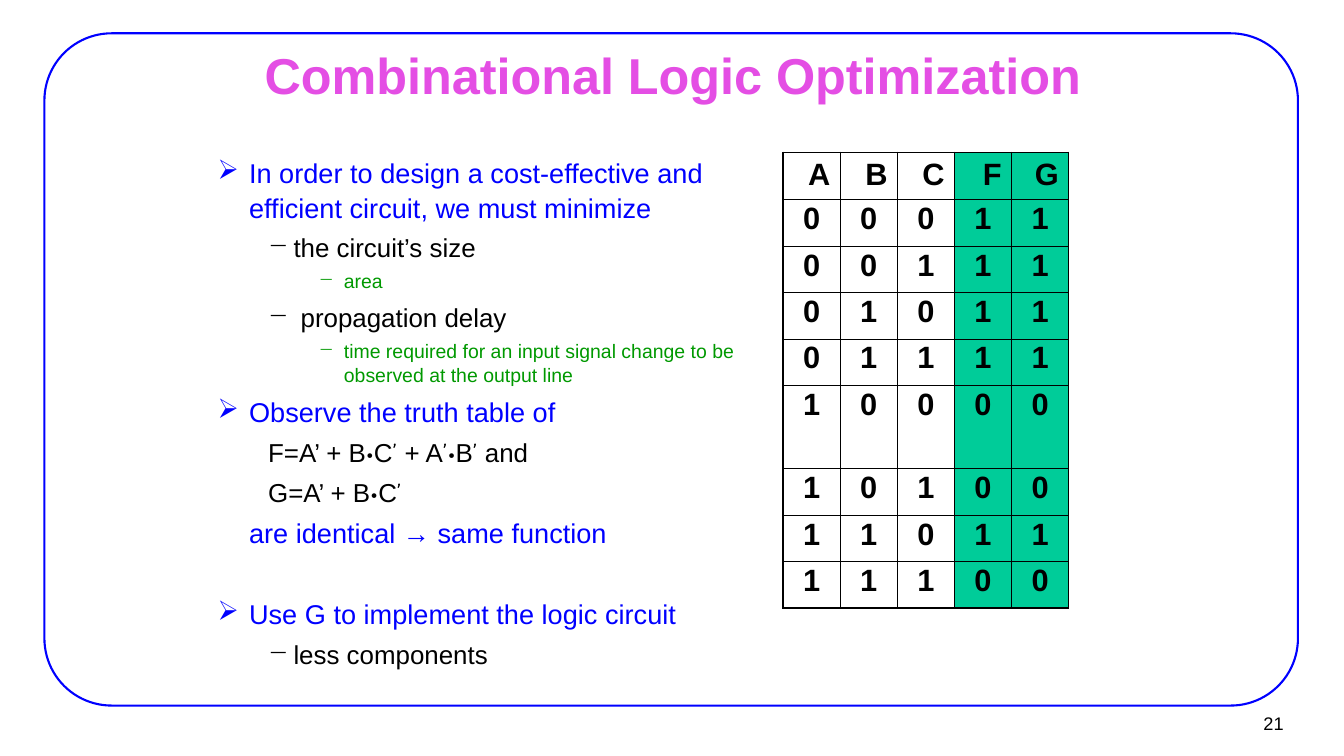
import itertools

import lxml.etree
import pptx
import pptx.dml.color
import pptx.enum.shapes
import pptx.enum.text
import pptx.oxml.ns
import pptx.util

Cm, Pt = pptx.util.Cm, pptx.util.Pt
ALIGN = pptx.enum.text.PP_ALIGN
ANCHOR = pptx.enum.text.MSO_ANCHOR

BLUE, BLACK, GREEN, PINK = "0000FF", "000000", "009900", "E44EE4"
WHITE, OUTPUT_FILL = "FFFFFF", "00CC99"

# Level: left indent and hanging in cm, space before, font size, colour, bullet
LEVELS = {
    1: (2.06, 0.79, 5.2, 19.4, BLUE, "➢"),
    2: (3.18, 0.64, 5, 18.5, BLACK, "−"),
    3: (4.45, 0.64, 3.7, 13.9, GREEN, "−"),
    "formula": (2.54, 0, 5, 18.5, BLACK, None),
    "continued": (2.06, 0, 5.2, 19.4, BLUE, None),
    "after gap": (2.06, 0.79, 33.8, 19.4, BLUE, "➢"),
}

# Level, then runs that alternate between the text and the symbol font
OUTLINE = [
    (1, "In order to design a cost-effective and efficient circuit, we must minimize"),
    (2, "the circuit’s size"),
    (3, "area"),
    (2, " propagation delay"),
    (3, "time required for an input signal change to be observed at the output line"),
    (1, "Observe the truth table of"),
    ("formula", "F=A’ + B", "•", "C", "’", " + A", "’•", "B", "’", " and"),
    ("formula", "G=A’ + B", "•", "C", "’"),
    ("continued", "are identical → same function"),
    ("after gap", "Use G to implement the logic circuit"),
    (2, "less components"),
]


def rgb(value):
    return pptx.dml.color.RGBColor.from_string(value)


def add_xml(parent, tag, **attributes):
    return lxml.etree.SubElement(parent, pptx.oxml.ns.qn(tag), attributes)


def add_solid_fill(parent, color):
    add_xml(add_xml(parent, "a:solidFill"), "a:srgbClr", val=color)


class SlideBuilder:
    font = "Arial"
    symbol_font = "Comic Neue"

    def __init__(self, slide):
        self.slide = slide

    def style_run(self, run, size, color, bold=False, font=None):
        run.font.name = font or self.font
        run.font.size = Pt(size)
        run.font.bold = bold
        run.font.color.rgb = rgb(color)

    def frame(self, left, top, width, height, color):
        shape = self.slide.shapes.add_shape(
            pptx.enum.shapes.MSO_SHAPE.ROUNDED_RECTANGLE,
            Cm(left), Cm(top), Cm(width), Cm(height))
        shape.adjustments[0] = 0.1
        shape.shadow.inherit = False
        shape.fill.background()
        shape.line.color.rgb = rgb(color)
        shape.line.width = Pt(1.5)

    def text_box(self, left, top, width, height, anchor, wrap=True):
        """Return the text frame of a new, empty text box."""
        shape = self.slide.shapes.add_textbox(Cm(left), Cm(top), Cm(width), Cm(height))
        text_frame = shape.text_frame
        text_frame.word_wrap = wrap
        text_frame.vertical_anchor = anchor
        text_frame.margin_left = text_frame.margin_right = Cm(0.28 if wrap else 0.23)
        text_frame.margin_top = text_frame.margin_bottom = Cm(0.15 if wrap else 0.1)
        return text_frame

    def line_of_text(self, text_frame, text, size, color, alignment, bold=False):
        text_frame.text = text
        paragraph = text_frame.paragraphs[0]
        paragraph.alignment = alignment
        self.style_run(paragraph.runs[0], size, color, bold)

    def outline(self, text_frame, items):
        for index, (level, *texts) in enumerate(items):
            left, hanging, before, size, color, bullet = LEVELS[level]
            paragraph = text_frame.add_paragraph() if index else text_frame.paragraphs[0]
            properties = paragraph._p.get_or_add_pPr()
            properties.set("marL", str(Cm(left)))
            properties.set("indent", str(-Cm(hanging)))
            if bullet:
                add_xml(add_xml(properties, "a:buClr"), "a:srgbClr", val=color)
                add_xml(properties, "a:buChar", char=bullet)
            else:
                add_xml(properties, "a:buNone")
            paragraph.line_spacing = 1.05
            if index:
                paragraph.space_before = Pt(before)
            for text, font in zip(texts, itertools.cycle((self.font, self.symbol_font))):
                run = paragraph.add_run()
                run.text = text
                self.style_run(run, size, color, font=font)

    def borders(self, cell, outer_sides):
        """Draw all four borders, thicker on the outer sides."""
        properties = cell._tc.get_or_add_tcPr()
        for side in "LRTB":
            width = Pt(1.08 if side in outer_sides else 0.45)
            add_solid_fill(add_xml(properties, "a:ln" + side, w=str(width)), BLACK)

    def truth_table(self, left, top, column_width, row_heights, rows, input_count):
        column_count = len(rows[0])
        graphic = self.slide.shapes.add_table(
            len(rows), column_count, Cm(left), Cm(top),
            Cm(column_width * column_count), Cm(sum(row_heights)))
        table = graphic.table
        table.first_row = table.horz_banding = False
        for column in table.columns:
            column.width = Cm(column_width)
        for row, height in zip(table.rows, row_heights):
            row.height = Cm(height)
        for row, values in enumerate(rows):
            for column, value in enumerate(values):
                cell = table.cell(row, column)
                edges = {"L": column == 0, "R": column == column_count - 1,
                         "T": row == 0, "B": row == len(rows) - 1}
                self.borders(cell, [side for side, outer in edges.items() if outer])
                cell.fill.solid()
                cell.fill.fore_color.rgb = rgb(WHITE if column < input_count else OUTPUT_FILL)
                cell.margin_left = cell.margin_right = Cm(0.25)
                cell.margin_top = Cm(0.05 if row else 0.13)
                cell.margin_bottom = Cm(0.13)
                self.line_of_text(cell.text_frame, str(value), 22, BLACK,
                                  ALIGN.CENTER if row else ALIGN.RIGHT, bold=True)


def truth_rows():
    rows = [tuple("ABCFG")]
    for a, b, c in itertools.product((0, 1), repeat=3):
        f = int(not a or (b and not c) or (not a and not b))
        g = int(not a or (b and not c))
        rows.append((a, b, c, f, g))
    return rows


def main():
    presentation = pptx.Presentation()
    presentation.slide_width, presentation.slide_height = Cm(33.88), Cm(19.05)
    builder = SlideBuilder(presentation.slides.add_slide(presentation.slide_layouts[6]))

    builder.frame(1.12, 0.84, 31.6, 16.94, BLUE)
    number = builder.text_box(30.53, 17.75, 2.06, 0.94, ANCHOR.MIDDLE, wrap=False)
    builder.line_of_text(number, "21", 13, BLACK, ALIGN.RIGHT)
    title = builder.text_box(2.57, 1.12, 28.8, 1.5, ANCHOR.MIDDLE)
    builder.line_of_text(title, "Combinational Logic Optimization", 36, PINK,
                         ALIGN.CENTER, bold=True)
    builder.outline(builder.text_box(3.94, 3.76, 15.19, 12.57, ANCHOR.TOP), OUTLINE)
    row_heights = [1.17] * 5 + [2.1] + [1.17] * 3
    builder.truth_table(19.74, 3.84, 1.44, row_heights, truth_rows(), input_count=3)

    presentation.save("out.pptx")


if __name__ == "__main__":
    main()
